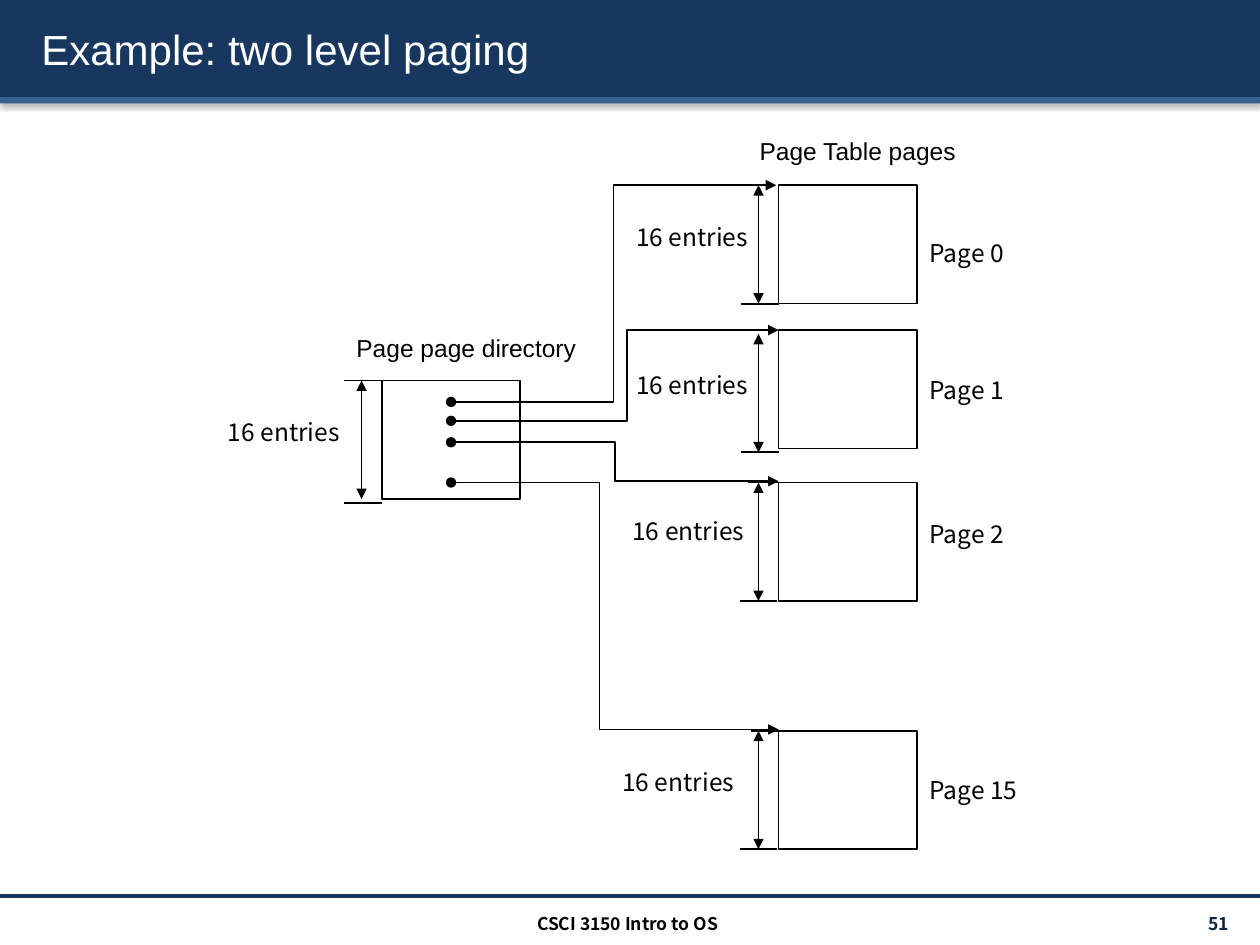
from lxml.etree import SubElement
from pptx import Presentation
from pptx.dml.color import RGBColor
from pptx.enum.shapes import MSO_CONNECTOR as CONNECTOR, MSO_SHAPE as SHAPE
from pptx.enum.text import MSO_ANCHOR as ANCHOR, PP_ALIGN as ALIGN
from pptx.oxml.ns import qn
from pptx.util import Inches, Pt

COLORS = {"navy": "17375E", "blue": "376092", "number": "0F243E",
          "black": "000000", "white": "FFFFFF"}
SANS, NOTO = "Arial", "Noto Sans CJK KR"
BOX_WIDTH, BOX_HEIGHT = 1.1, 0.94
PAGE_LEFT, DIRECTORY_LEFT, DIRECTORY_TOP = 6.18, 3.03, 3.02
POINTER_LEFT = 3.58

# Offsets from the page box: top tick, bottom tick, ruler drop, entries label, page label
PAGES = [
    {"name": "Page 0", "top": 1.47, "ticks": (-0.38, -0.3), "drop": 0,
     "entries": (-1.23, 0.24), "label": 0.37},
    {"name": "Page 1", "top": 2.62, "ticks": (None, -0.3), "drop": 0.03,
     "entries": (-1.23, 0.27), "label": 0.31},
    {"name": "Page 2", "top": 3.83, "ticks": (-0.24, -0.31), "drop": 0,
     "entries": (-1.26, 0.22), "label": 0.24},
    {"name": "Page 15", "top": 5.8, "ticks": (-0.22, -0.31), "drop": 0,
     "entries": (-1.34, 0.24), "label": 0.3},
]
# Start height, end point, bend as a share of the width
POINTERS = [(3.19, 6.16, 1.47, 0.5), (3.34, 6.18, 2.62, 0.538),
            (3.51, 6.18, 3.82, 0.5), (3.83, 6.18, 5.79, 0.453)]


def color(name):
    return RGBColor.from_string(COLORS[name])


def add_shadow(effects, blur, distance, alpha):
    shadow = SubElement(effects, qn("a:outerShdw"), blurRad=str(Pt(blur)),
                        dist=str(Pt(distance)), dir="5400000", rotWithShape="0")
    rgb = SubElement(shadow, qn("a:srgbClr"), val=COLORS["black"])
    SubElement(rgb, qn("a:alpha"), val=str(alpha * 1000))


def add_rectangle(slide, left, top, width, height, fill, line=None):
    shape = slide.shapes.add_shape(SHAPE.RECTANGLE, Inches(left), Inches(top),
                                   Inches(width), Inches(height))
    shape.shadow.inherit = False
    shape.fill.solid()
    shape.fill.fore_color.rgb = color(fill)
    if line:
        shape.line.color.rgb = color(line)
        shape.line.width = Pt(1)
    else:
        shape.line.fill.background()
    return shape


def add_text(slide, text, left, top, width, height, size=14, name=NOTO,
             fill="black", bold=False, align=ALIGN.LEFT, anchor=ANCHOR.TOP):
    box = slide.shapes.add_textbox(Inches(left), Inches(top),
                                   Inches(width), Inches(height))
    frame = box.text_frame
    frame.word_wrap = True
    frame.vertical_anchor = anchor
    paragraph = frame.paragraphs[0]
    paragraph.alignment = align
    run = paragraph.add_run()
    run.text = text
    for key, value in {"size": Pt(size), "name": name, "bold": bold}.items():
        setattr(run.font, key, value)
    run.font.color.rgb = color(fill)
    properties = run.font._element
    SubElement(properties, qn("a:ea"), typeface=name)
    return properties


def add_line(slide, start, end, kind=CONNECTOR.STRAIGHT, head=None, tail=None,
             fill="black", width=1):
    x1, y1, x2, y2 = (Inches(value) for value in (*start, *end))
    connector = slide.shapes.add_connector(kind, x1, y1, x2, y2)
    connector.line.color.rgb = color(fill)
    connector.line.width = Pt(width)
    line = connector.line._get_or_add_ln()
    for tag, arrow in (("a:headEnd", head), ("a:tailEnd", tail)):
        if arrow:
            SubElement(line, qn(tag), type=arrow)
    SubElement(connector._element.spPr, qn("a:effectLst"))
    return connector


def add_header(slide, width, height):
    for top, depth, fill in ((0, height, "navy"), (height, 0.05, "blue")):
        bar = add_rectangle(slide, 0, top, width, depth, fill)
        add_shadow(bar._element.spPr.find(qn("a:effectLst")), 3.1, 1.6, 38)
    properties = add_text(slide, "Example: two level paging", 0.23, 0.07, width - 0.39,
                          0.64, size=24, name=SANS, fill="white", anchor=ANCHOR.MIDDLE)
    effects = SubElement(properties, qn("a:effectLst"))
    properties.find(qn("a:solidFill")).addnext(effects)
    add_shadow(effects, 3, 2, 60)


def add_footer(slide, top, width):
    add_line(slide, (0, top), (width, top), fill="navy", width=2)
    add_text(slide, "CSCI 3150 Intro to OS", 3.32, top + 0.09, 3.32, 0.24,
             size=10, bold=True, align=ALIGN.CENTER)
    add_text(slide, "51", 8.71, top + 0.1, 1.14, 0.24, size=10, fill="number",
             bold=True, align=ALIGN.RIGHT, anchor=ANCHOR.MIDDLE)


def add_measured_box(slide, left, top, ticks, entries, drop=0, bottom_drop=0):
    """Draw a table box with its height ruler and entry count on the left."""
    add_rectangle(slide, left, top, BOX_WIDTH, BOX_HEIGHT, "white", "black")
    ruler_top, ruler_bottom = top + drop, top + drop + BOX_HEIGHT
    for offset, y in zip(ticks, (ruler_top, ruler_bottom + bottom_drop)):
        if offset is not None:
            add_line(slide, (left + offset, y), (left + offset + 0.3, y))
    add_line(slide, (left - 0.16, ruler_top), (left - 0.16, ruler_bottom),
             head="triangle", tail="triangle")
    add_text(slide, "16 entries", left + entries[0], top + entries[1], 1.31, 0.34)


def add_directory(slide, left, top):
    add_measured_box(slide, left, top, (-0.3, -0.3), (-1.32, 0.24), bottom_drop=0.03)
    add_text(slide, "Page page directory", left - 0.3, top - 0.43, 2.18, 0.34, name=SANS)


def add_page_tables(slide, left):
    add_text(slide, "Page Table pages", left - 0.25, PAGES[0]["top"] - 0.44,
             2.18, 0.34, name=SANS)
    for page in PAGES:
        add_measured_box(slide, left, page["top"], page["ticks"],
                         page["entries"], page["drop"])
        add_text(slide, page["name"], left + BOX_WIDTH, page["top"] + page["label"],
                 1.1, 0.34)


def add_pointers(slide, left):
    for start_y, end_x, end_y, bend in POINTERS:
        pointer = add_line(slide, (left, start_y), (end_x, end_y), CONNECTOR.ELBOW,
                           head="oval", tail="triangle")
        geometry = pointer._element.spPr.find(qn("a:prstGeom"))
        guides = geometry.find(qn("a:avLst"))
        SubElement(guides, qn("a:gd"), name="adj1", fmla=f"val {round(bend * 100000)}")


def main():
    presentation = Presentation()
    presentation.slide_width, presentation.slide_height = Inches(10), Inches(7.5)
    slide = presentation.slides.add_slide(presentation.slide_layouts[6])
    add_header(slide, 10, 0.77)
    add_footer(slide, 7.11, 10)
    add_directory(slide, DIRECTORY_LEFT, DIRECTORY_TOP)
    add_page_tables(slide, PAGE_LEFT)
    add_pointers(slide, POINTER_LEFT)
    presentation.save("out.pptx")


if __name__ == "__main__":
    main()
